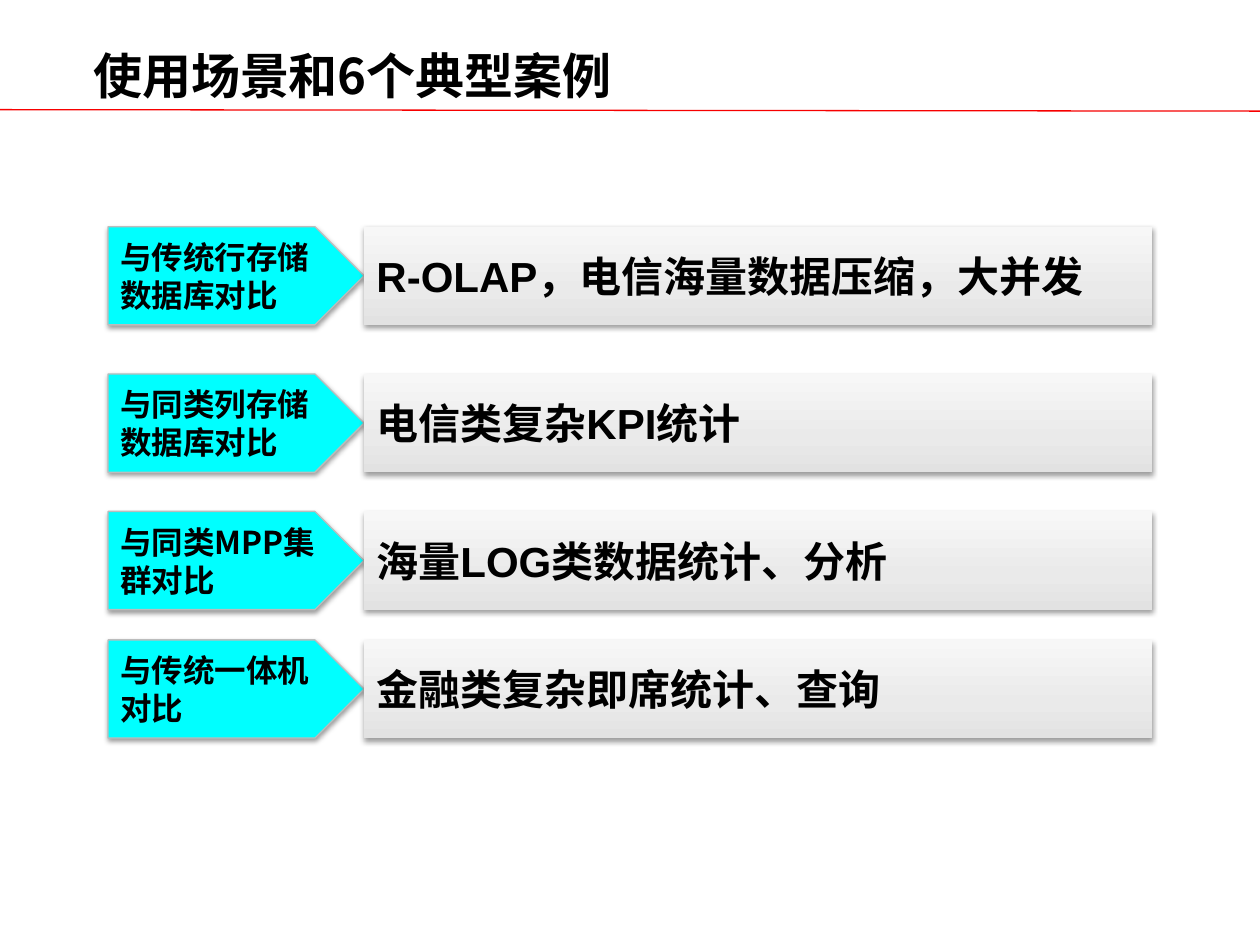
"""Build a slide of usage scenarios and typical cases."""
from typing import NamedTuple

from lxml.etree import SubElement
from pptx import Presentation
from pptx.dml.color import RGBColor
from pptx.enum.shapes import MSO_CONNECTOR, MSO_SHAPE
from pptx.enum.text import MSO_ANCHOR as Anchor, PP_ALIGN as Align
from pptx.oxml import parse_xml
from pptx.oxml.ns import nsdecls, qn
from pptx.util import Cm, Pt

BLACK = RGBColor(0x00, 0x00, 0x00)
RED = RGBColor(0xF7, 0x00, 0x00)
CYAN = RGBColor(0x00, 0xFF, 0xFF)
GRAY = RGBColor(0xBC, 0xBC, 0xBC)
GRADIENT = (
    (0, RGBColor(0xE2, 0xE2, 0xE2)),
    (35, RGBColor(0xEA, 0xEA, 0xEA)),
    (100, RGBColor(0xF7, 0xF7, 0xF7)),
)
CJK = "Noto Sans CJK SC"
LATIN = "Arial"
TAG_LEFT, TAG_WIDTH, CASE_WIDTH, ROW_HEIGHT = 2.18, 5.16, 15.88, 1.98


class Scenario(NamedTuple):
    top: float
    tag: str
    case: str


SCENARIOS = (
    Scenario(4.57, "与传统行存储数据库对比", "R-OLAP，电信海量数据压缩，大并发"),
    Scenario(7.54, "与同类列存储数据库对比", "电信类复杂KPI统计"),
    Scenario(10.31, "与同类MPP集群对比", "海量LOG类数据统计、分析"),
    Scenario(12.9, "与传统一体机对比", "金融类复杂即席统计、查询"),
)


def write(tf, text: str, size: int, font: str) -> None:
    """Write one bold, left-aligned paragraph centred vertically."""
    tf.word_wrap = True
    tf.vertical_anchor = Anchor.MIDDLE
    p = tf.paragraphs[0]
    p.alignment = Align.LEFT
    r = p.add_run()
    r.text = text
    for name, value in {"size": Pt(size), "name": font, "bold": True}.items():
        setattr(r.font, name, value)
    r.font.color.rgb = BLACK
    SubElement(r.font._element, qn("a:ea"), typeface=CJK)


def add_box(s, kind: MSO_SHAPE, left: float, top: float, width: float):
    """Add a row shape with a soft shadow below it."""
    sp = s.shapes.add_shape(kind, Cm(left), Cm(top), Cm(width), Cm(ROW_HEIGHT))
    sp.shadow.inherit = False
    sp._element.spPr.find(qn("a:effectLst")).append(parse_xml(
        f'<a:outerShdw {nsdecls("a")} blurRad="{Pt(3.1)}" dist="{Pt(1.6)}" '
        'dir="5400000" rotWithShape="0"><a:srgbClr val="000000">'
        '<a:alpha val="38000"/></a:srgbClr></a:outerShdw>'))
    return sp


def fill_gradient(sp) -> None:
    """Fill a shape with the gray gradient, darkest at the bottom."""
    sp.fill.gradient()
    sp.fill.gradient_angle = 90
    stops = sp._element.spPr.find(qn("a:gradFill")).find(qn("a:gsLst"))
    stops.clear()
    for position, color in GRADIENT:
        stop = SubElement(stops, qn("a:gs"), pos=str(position * 1000))
        SubElement(stop, qn("a:srgbClr"), val=str(color))


def add_scenario(s, row: Scenario) -> None:
    """Draw a comparison tag and the case it points to."""
    tag = add_box(s, MSO_SHAPE.PENTAGON, TAG_LEFT, row.top, TAG_WIDTH)
    tag.fill.solid()
    tag.fill.fore_color.rgb = CYAN
    tag.line.color.rgb = GRAY
    tag.line.width = Pt(0.75)
    write(tag.text_frame, row.tag, 18, CJK)

    case = add_box(s, MSO_SHAPE.RECTANGLE, TAG_LEFT + TAG_WIDTH, row.top, CASE_WIDTH)
    fill_gradient(case)
    case.line.fill.background()
    write(case.text_frame, row.case, 24, LATIN)


def add_title(s, text: str) -> None:
    """Place the title and the red rule under it."""
    title = s.shapes.title
    place = {"left": 1.88, "top": 0.84, "width": 21.64, "height": 1.35}
    for name, value in place.items():
        setattr(title, name, Cm(value))
    tf = title.text_frame
    for side in ("left", "top", "right", "bottom"):
        setattr(tf, f"margin_{side}", 0)
    write(tf, text, 28, CJK)

    rule = s.shapes.add_connector(
        MSO_CONNECTOR.STRAIGHT, 0, Cm(2.21), Cm(25.4), Cm(2.24))
    rule.line.color.rgb = RED
    rule.line.width = Pt(0.75)
    SubElement(rule._element.spPr, qn("a:effectLst"))


def main() -> None:
    """Build and save the presentation."""
    prs = Presentation()
    prs.slide_width, prs.slide_height = Cm(25.4), Cm(19.05)
    s = prs.slides.add_slide(prs.slide_layouts[5])
    add_title(s, "使用场景和6个典型案例")
    for row in SCENARIOS:
        add_scenario(s, row)
    prs.save("out.pptx")


if __name__ == "__main__":
    main()
